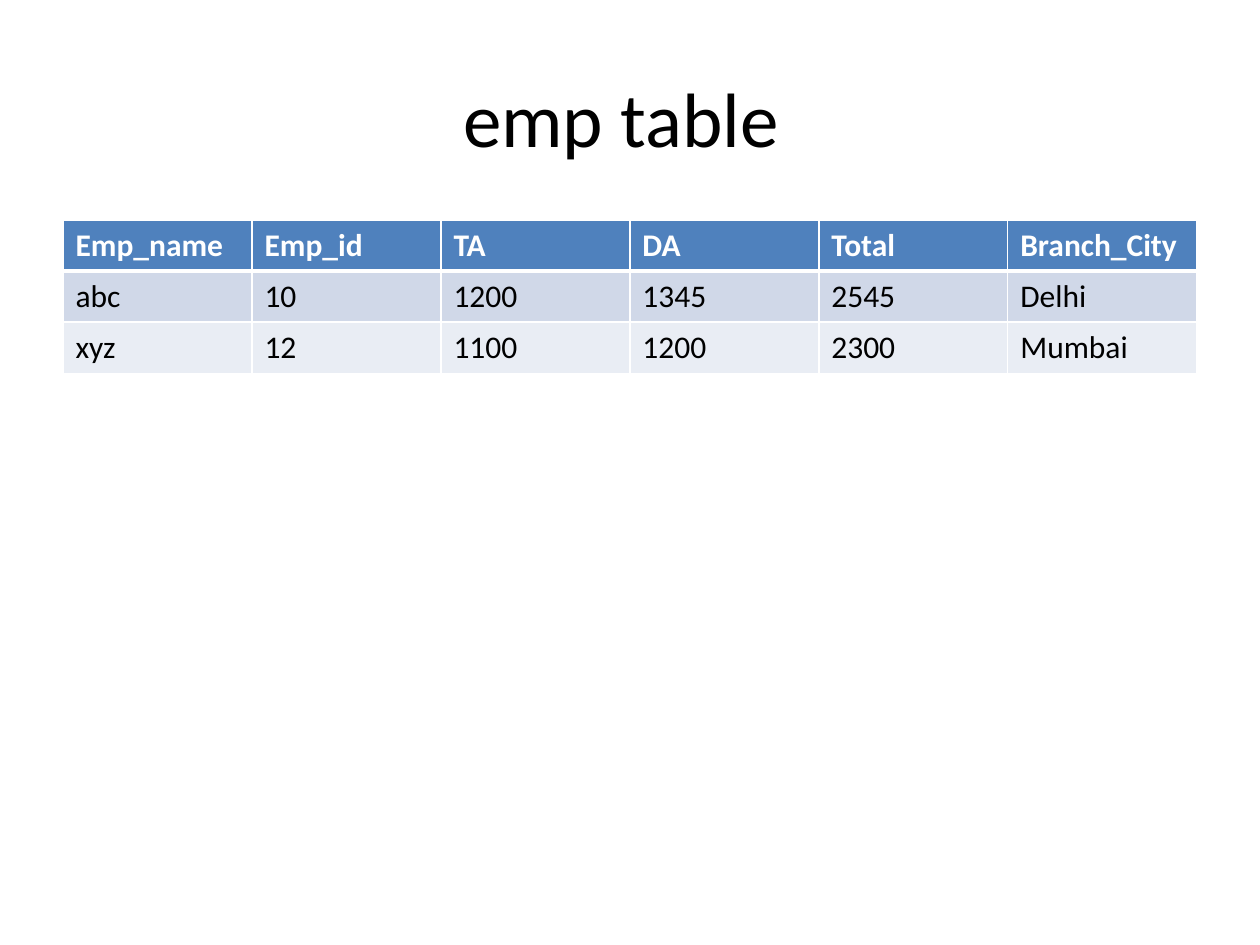
from lxml.etree import SubElement
from pptx import Presentation
from pptx.dml.color import RGBColor
from pptx.enum.text import MSO_ANCHOR as Anchor, PP_ALIGN as Align
from pptx.oxml.ns import qn
from pptx.util import Pt

EMU_PER_PX = 914400 // 126
FONT = "Calibri"
BLACK = RGBColor(0x00, 0x00, 0x00)
WHITE = RGBColor(0xFF, 0xFF, 0xFF)
HEADER_BLUE = RGBColor(0x4F, 0x81, 0xBD)
BAND_FILLS = (RGBColor(0xD0, 0xD8, 0xE8), RGBColor(0xE9, 0xED, 0xF4))

EMPLOYEES = (
    ("Emp_name", "Emp_id", "TA", "DA", "Total", "Branch_City"),
    ("abc", "10", "1200", "1345", "2545", "Delhi"),
    ("xyz", "12", "1100", "1200", "2300", "Mumbai"),
)


def px(length):
    return length * EMU_PER_PX


def write_text(frame, text, size=18, color=BLACK, bold=False, align=Align.LEFT):
    paragraph = frame.paragraphs[0]
    paragraph.alignment = align
    run = paragraph.add_run()
    run.text = text
    run.font.name = FONT
    run.font.size = Pt(size)
    run.font.bold = bold
    run.font.color.rgb = color


def set_borders(cell, **widths):
    properties = cell._tc.get_or_add_tcPr()
    for side in ("L", "R", "T", "B"):
        width = Pt(widths.get(side, 1))
        line = SubElement(properties, qn(f"a:ln{side}"), w=str(width))
        fill = SubElement(line, qn("a:solidFill"))
        SubElement(fill, qn("a:srgbClr"), val=str(WHITE))


def add_title(slide, text, left, top, width, height):
    title = slide.shapes.title
    title.left, title.top = px(left), px(top)
    title.width, title.height = px(width), px(height)
    title.text_frame.vertical_anchor = Anchor.MIDDLE
    write_text(title.text_frame, text, size=44, align=Align.CENTER)


def add_employee_table(slide, rows, left, top, width, row_height):
    column_count = len(rows[0])
    frame = slide.shapes.add_table(
        len(rows), column_count, px(left), px(top), px(width), px(row_height * len(rows))
    )
    table = frame.table
    for column in table.columns:
        column.width = px(width // column_count)
    for row_index, values in enumerate(rows):
        table.rows[row_index].height = px(row_height)
        is_header = row_index == 0
        fill = HEADER_BLUE if is_header else BAND_FILLS[(row_index - 1) % 2]
        widths = {0: {"B": 3}, 1: {"T": 3}}.get(row_index, {})
        for column_index, value in enumerate(values):
            cell = table.cell(row_index, column_index)
            set_borders(cell, **widths)
            cell.fill.solid()
            cell.fill.fore_color.rgb = fill
            write_text(
                cell.text_frame, value, color=WHITE if is_header else BLACK, bold=is_header
            )


def main():
    presentation = Presentation()
    presentation.slide_width, presentation.slide_height = px(1260), px(945)
    slide = presentation.slides.add_slide(presentation.slide_layouts[5])
    add_title(slide, "emp table ", 63, 38, 1134, 157)
    add_employee_table(slide, EMPLOYEES, 63, 220, 1134, 51)
    presentation.save("out.pptx")


if __name__ == "__main__":
    main()
